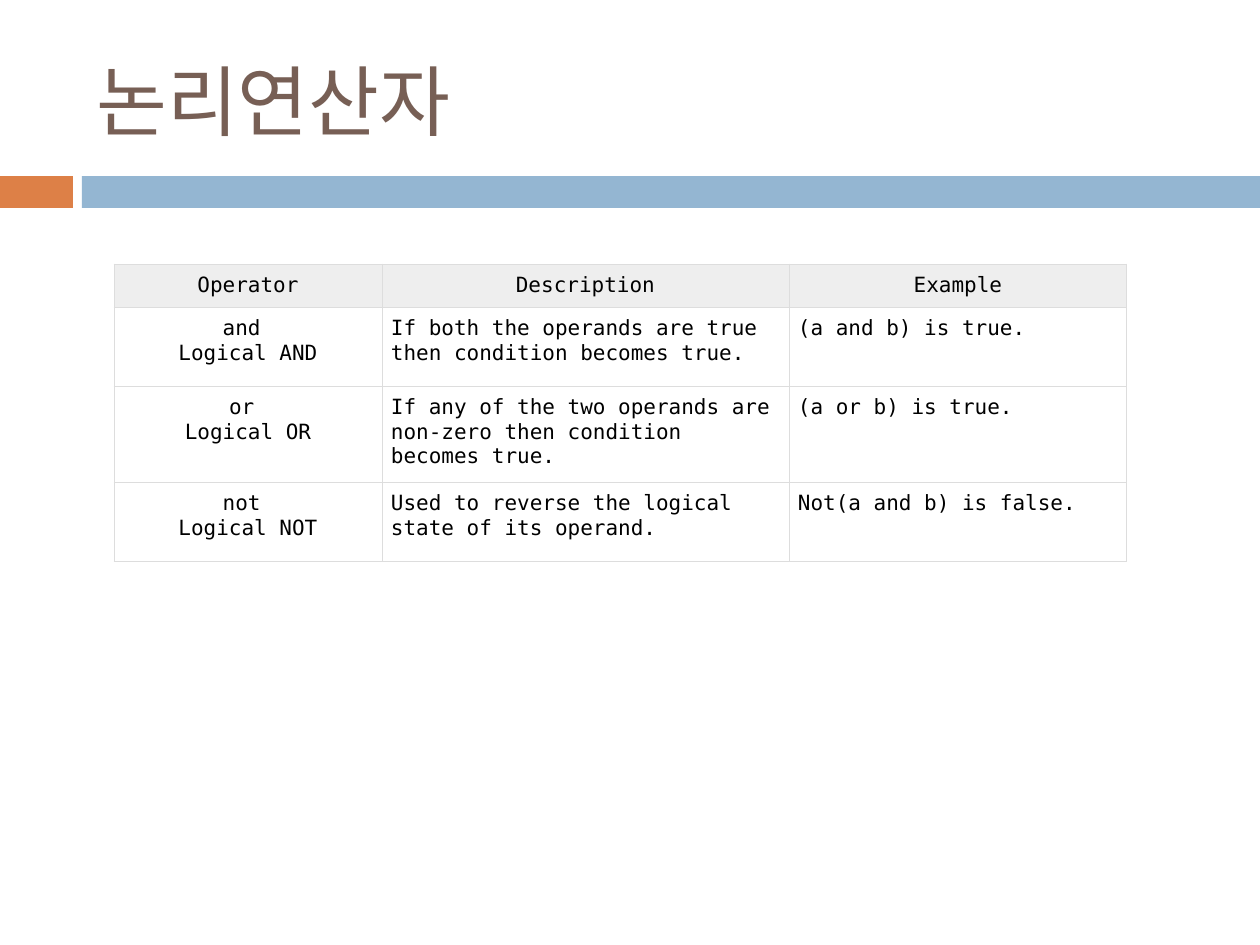
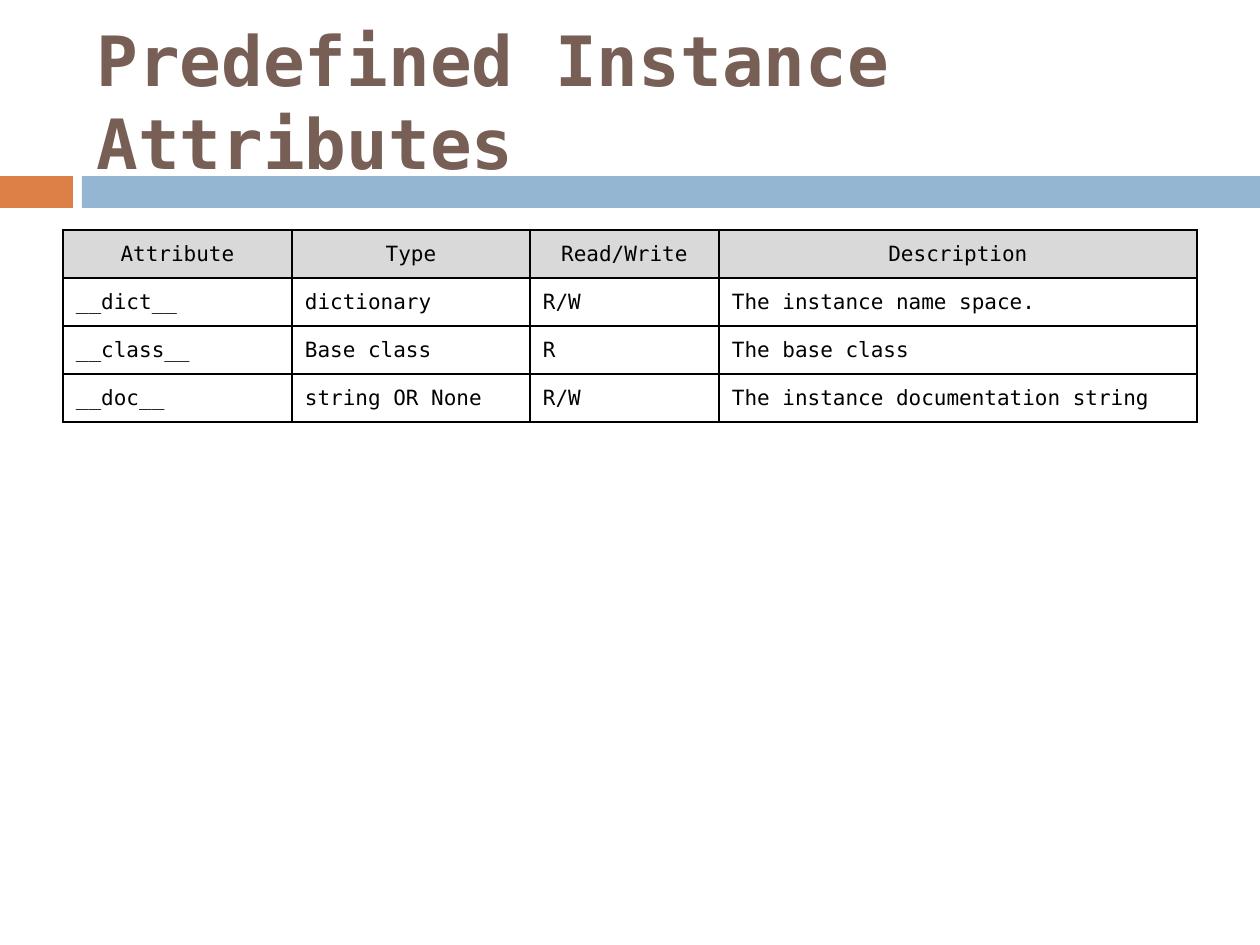
from lxml import etree
from pptx import Presentation
from pptx import util as u
from pptx.dml.color import RGBColor
from pptx.enum import shapes, text
from pptx.oxml import ns

ORANGE = RGBColor(0xDD, 0x80, 0x47)
BLUE = RGBColor(0x94, 0xB6, 0xD2)
BROWN = RGBColor(0x77, 0x5F, 0x55)
BLACK = RGBColor(0, 0, 0)
WHITE = RGBColor(0xFF, 0xFF, 0xFF)
PALE_GREY = RGBColor(0xEE, 0xEE, 0xEE)
MID_GREY = RGBColor(0xD9, 0xD9, 0xD9)
BORDER_GREY = RGBColor(0xDD, 0xDD, 0xDD)
FONT = "DejaVu Sans Mono"
PX = 914400 / 126
BANDS = [((0, 176, 73, 32), ORANGE), ((82, 176, 1178, 32), BLUE)]
TITLE_AREA = (84, 32, 1124, 136)

SLIDES = [
    {
        "title": "논리연산자", "size": 44, "bold": False,
        "rows": [
            ("Operator", "Description", "Example"),
            ("and \nLogical AND",
             "If both the operands are true then condition becomes true.",
             "(a and b) is true."),
            ("or \nLogical OR",
             "If any of the two operands are non-zero then condition becomes true.",
             "(a or b) is true."),
            ("not \nLogical NOT",
             "Used to reverse the logical state of its operand.",
             "Not(a and b) is false."),
        ],
        "corner": (114, 264), "widths": (268, 407, 338), "heights": (43, 79, 96, 79),
        "header_fill": PALE_GREY, "border": (BORDER_GREY, 0.6),
        "margins": (9, 9), "anchor": text.MSO_ANCHOR.TOP, "centred_columns": {0},
    },
    {
        "title": "Predefined Instance Attributes", "size": 39.6, "bold": True,
        "rows": [
            ("Attribute", "Type", "Read/Write", "Description"),
            ("__dict__", "dictionary", "R/W", "The instance name space."),
            ("__class__", "Base class", "R", "The base class"),
            ("__doc__", "string OR None", "R/W", "The instance documentation string"),
        ],
        "corner": (63, 230), "widths": (229, 238, 189, 478), "heights": (48,) * 4,
        "header_fill": MID_GREY, "border": (BLACK, 1),
        "margins": (13, 6), "anchor": text.MSO_ANCHOR.MIDDLE, "centred_columns": set(),
    },
]


def px(*lengths):
    return [u.Emu(round(length * PX)) for length in lengths]


def style(para, size, colour, bold=False):
    para.font.name = FONT
    para.font.size = u.Pt(size)
    para.font.bold = bold
    para.font.color.rgb = colour


def add_frame(page, spec):
    for area, colour in BANDS:
        band = page.shapes.add_shape(shapes.MSO_SHAPE.RECTANGLE, *px(*area))
        band.shadow.inherit = False
        band.fill.solid()
        band.fill.fore_color.rgb = colour
        band.line.fill.background()
    box = page.shapes.add_textbox(*px(*TITLE_AREA))
    frame = box.text_frame
    frame.word_wrap = True
    frame.vertical_anchor = text.MSO_ANCHOR.MIDDLE
    frame.text = spec["title"]
    style(frame.paragraphs[0], spec["size"], BROWN, spec["bold"])


def set_borders(cell, colour, points):
    properties = cell._tc.get_or_add_tcPr()
    for index, side in enumerate(("lnL", "lnR", "lnT", "lnB")):
        line = etree.Element(ns.qn(f"a:{side}"), w=str(u.Pt(points)))
        fill = etree.SubElement(line, ns.qn("a:solidFill"))
        etree.SubElement(fill, ns.qn("a:srgbClr"), val=str(colour))
        properties.insert(index, line)


def fill_cell(cell, content, spec, is_header, centred):
    side, end = px(*spec["margins"])
    cell.margin_left = cell.margin_right = side
    cell.margin_top = cell.margin_bottom = end
    cell.vertical_anchor = spec["anchor"]
    cell.fill.solid()
    cell.fill.fore_color.rgb = spec["header_fill"] if is_header else WHITE
    set_borders(cell, *spec["border"])
    cell.text = content
    for para in cell.text_frame.paragraphs:
        para.alignment = text.PP_ALIGN.CENTER if centred else text.PP_ALIGN.LEFT
        style(para, 12, BLACK)


def add_grid(page, spec):
    rows, widths, heights = spec["rows"], spec["widths"], spec["heights"]
    area = px(*spec["corner"], sum(widths), sum(heights))
    table = page.shapes.add_table(len(rows), len(widths), *area).table
    table.horz_banding = False
    for column, width in zip(table.columns, px(*widths)):
        column.width = width
    for row, height in zip(table.rows, px(*heights)):
        row.height = height
    for i, row in enumerate(rows):
        for j, content in enumerate(row):
            centred = i == 0 or j in spec["centred_columns"]
            fill_cell(table.cell(i, j), content, spec, i == 0, centred)


def main():
    deck = Presentation()
    deck.slide_width, deck.slide_height = px(1260, 945)
    for spec in SLIDES:
        page = deck.slides.add_slide(deck.slide_layouts[6])
        add_frame(page, spec)
        add_grid(page, spec)
    deck.save("out.pptx")


if __name__ == "__main__":
    main()
